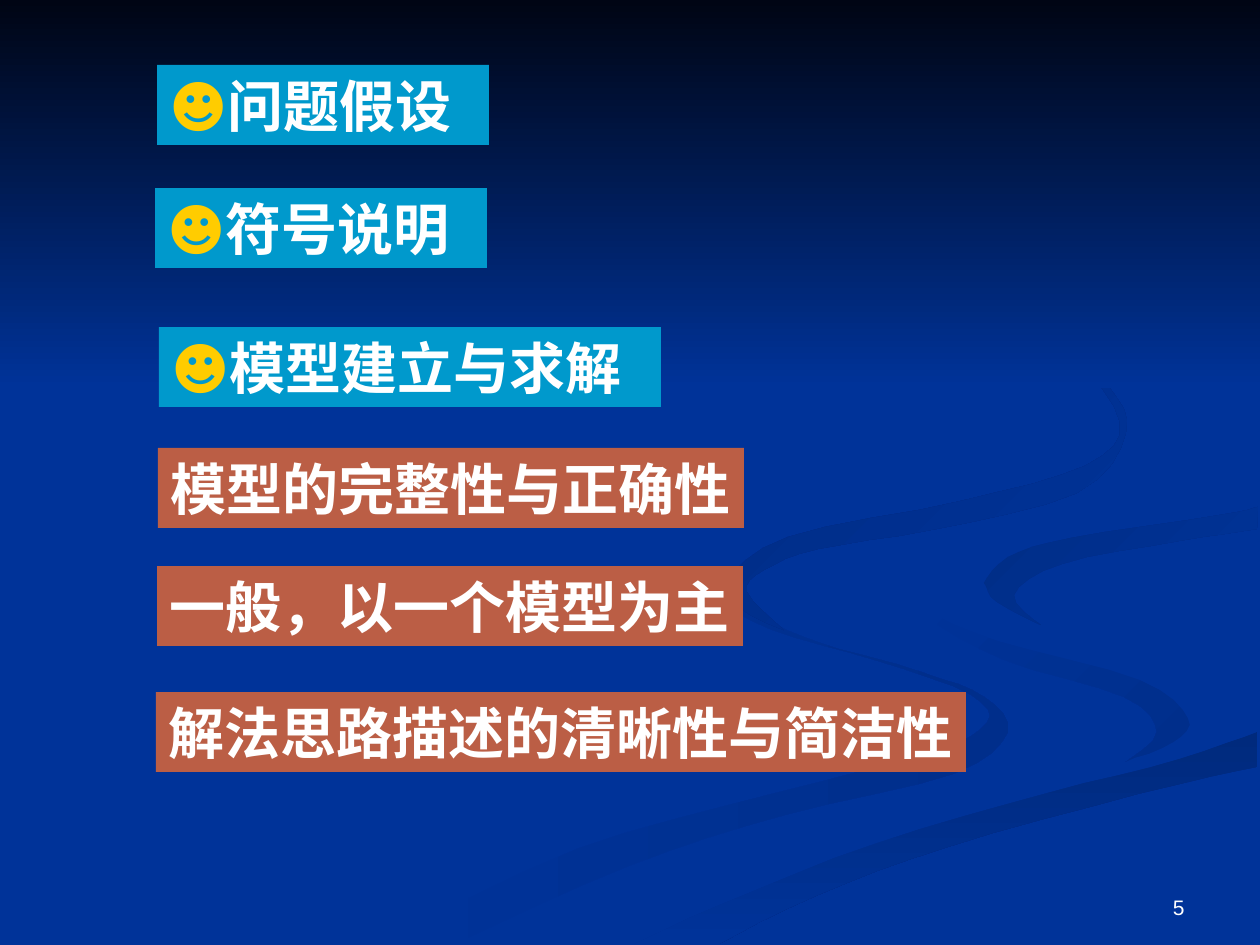
from pptx import Presentation
from pptx.dml.color import RGBColor
from pptx.enum.shapes import MSO_SHAPE
from pptx.enum.text import MSO_ANCHOR, MSO_AUTO_SIZE, PP_ALIGN
from pptx.util import Pt

RECTANGLE = MSO_SHAPE.RECTANGLE
TOP, BOTTOM = MSO_ANCHOR.TOP, MSO_ANCHOR.BOTTOM
LEFT, RIGHT = PP_ALIGN.LEFT, PP_ALIGN.RIGHT
FIT_SHAPE = MSO_AUTO_SIZE.SHAPE_TO_FIT_TEXT

BLUE = RGBColor(0x00, 0x33, 0x99)
SHADE = RGBColor(0x00, 0x2E, 0x8B)
SWEEP_SHADE = RGBColor(0x00, 0x2A, 0x7D)
HOOK_SHADE = RGBColor(0x00, 0x2D, 0x86)
CURL_SHADE = RGBColor(0x00, 0x2B, 0x82)
NIGHT = RGBColor(0x00, 0x05, 0x14)
CYAN = RGBColor(0x00, 0x99, 0xCC)
RUST = RGBColor(0xBB, 0x5E, 0x45)
YELLOW = RGBColor(0xFF, 0xCC, 0x00)
WHITE = RGBColor(0xFF, 0xFF, 0xFF)

PX = 914400 // 126
SLIDE_WIDTH, SLIDE_HEIGHT = 1260, 945
BAND_HEIGHT = 388
LABEL_HEIGHT = 80
STEPS_PER_SPAN = 4


def smooth(knots):
    """Return points on a Catmull-Rom curve that passes through all knots."""
    padded = [knots[0], *knots, knots[-1]]
    points = []
    for before, start, end, after in zip(padded, padded[1:], padded[2:], padded[3:]):
        for step in range(STEPS_PER_SPAN):
            t = step / STEPS_PER_SPAN
            points.append(tuple(
                round(b + ((c - a) * t + (2 * a - 5 * b + 4 * c - d) * t**2
                           + (3 * b - a - 3 * c + d) * t**3) / 2)
                for a, b, c, d in zip(before, start, end, after)
            ))
    return points + [knots[-1]]


def paint(shape, start, end=None, angle=0):
    """Fill a shape plainly, or from start to end along a clockwise angle."""
    shape.shadow.inherit = False
    shape.line.fill.background()
    if end is None:
        shape.fill.solid()
        shape.fill.fore_color.rgb = start
        return
    shape.fill.gradient()
    shape.fill.gradient_angle = (360 - angle) % 360
    for stop, color in zip(shape.fill.gradient_stops, (start, end)):
        stop.color.rgb = color


presentation = Presentation()
presentation.slide_width = SLIDE_WIDTH * PX
presentation.slide_height = SLIDE_HEIGHT * PX
slide = presentation.slides.add_slide(presentation.slide_layouts[6])
slide.background.fill.solid()
slide.background.fill.fore_color.rgb = BLUE

# Ribbon edges, as the few knots that a smooth curve runs through.
# Two edges of one ribbon start, and mostly end, at a common tip.
tail_outer = [(724, 578), (735, 601), (809, 639), (921, 672), (984, 697),
              (1008, 732), (953, 774), (785, 815), (629, 866), (455, 944)]
tail_inner = [(724, 578), (721, 600), (770, 629), (878, 661), (970, 694),
              (987, 723), (931, 753), (776, 793), (577, 849), (378, 944)]
bend_outer = [(912, 585), (924, 609), (998, 641), (1140, 680),
              (1188, 718), (1174, 742), (1126, 762)]
bend_inner = [(912, 585), (924, 615), (1004, 660), (1124, 697),
              (1157, 732), (1126, 762)]
sweep_upper = [(634, 944), (717, 906), (877, 843), (1047, 793),
               (1179, 759), (1257, 732)]
sweep_lower = [(719, 944), (818, 895), (948, 847), (1138, 794), (1257, 767)]
hook_upper = [(984, 583), (1008, 557), (1071, 538), (1220, 515), (1258, 507)]
hook_belly = [(984, 583), (997, 602), (1041, 625)]
hook_inner = [(1041, 625), (1014, 595), (1062, 564), (1179, 541), (1257, 529)]
curl_outer = [(960, 294), (1062, 346), (1109, 387), (1126, 433), (1077, 493),
              (931, 530), (818, 549), (764, 570), (747, 592), (784, 630)]
curl_inner = [(960, 294), (1066, 352), (1120, 422), (1085, 466), (961, 501),
              (788, 537), (727, 582), (743, 610), (784, 630)]

# The plain body fills the gap between bend, sweep and hook
body_left = [(1126, 762), (936, 810), (722, 886), (601, 944)]
body_right = [(1258, 678), (1139, 654), (1048, 627), (984, 583)]
body_top = [(1258, 488), (1101, 514), (993, 532), (922, 562), (912, 585)]

# Each outline joins its edges in drawing order; [::-1] walks an edge back
ribbons = [
    ([tail_outer, tail_inner[::-1]], BLUE, SHADE, 0),
    ([bend_outer, bend_inner[::-1]], BLUE, SHADE, 45),
    ([sweep_lower, sweep_upper[::-1]], SWEEP_SHADE, BLUE, 90),
    ([bend_outer, body_left, sweep_upper, body_right, hook_upper, body_top],
     BLUE, None, 0),
    ([hook_upper[::-1], hook_belly, hook_inner], HOOK_SHADE, BLUE, 45),
    ([curl_outer, curl_inner[::-1]], CURL_SHADE, BLUE, 45),
]
for edges, start, end, angle in ribbons:
    outline = [point for edge in edges for point in smooth(edge)]
    builder = slide.shapes.build_freeform(*outline[0], scale=PX)
    builder.add_line_segments(outline[1:], close=True)
    paint(builder.convert_to_shape(), start, end, angle)

night_band = slide.shapes.add_shape(
    RECTANGLE, 0, 0, SLIDE_WIDTH * PX, BAND_HEIGHT * PX)
paint(night_band, NIGHT, BLUE, 90)

# Page number
number_box = slide.shapes.add_textbox(903 * PX, 861 * PX, 294 * PX, 65 * PX)
number_box.text_frame.word_wrap = True
number_box.text_frame.vertical_anchor = BOTTOM
paragraph = number_box.text_frame.paragraphs[0]
paragraph.alignment = RIGHT
run = paragraph.add_run()
run.text = "5"
run.font.name, run.font.size = "Arial", Pt(12)
run.font.color.rgb = WHITE

# Topics are cyan, wrap and carry a smiley; remarks are rust and do not
topic = {"fill": CYAN, "wrap": True, "lead": [("☻", YELLOW)]}
remark = {"fill": RUST, "wrap": False, "lead": []}
labels = [
    (topic, 157, 65, 332, "问题假设"),
    (topic, 155, 188, 332, "符号说明"),
    (topic, 159, 327, 502, "模型建立与求解"),
    (remark, 158, 448, 586, "模型的完整性与正确性"),
    (remark, 157, 566, 586, "一般，以一个模型为主"),
    (remark, 156, 692, 810, "解法思路描述的清晰性与简洁性"),
]
label_font = {"name": "Times New Roman", "size": Pt(32), "bold": True}
for style, left, top, width, words in labels:
    label = slide.shapes.add_shape(
        RECTANGLE, left * PX, top * PX, width * PX, LABEL_HEIGHT * PX)
    paint(label, style["fill"])
    frame = label.text_frame
    frame.word_wrap = style["wrap"]
    frame.auto_size = FIT_SHAPE
    frame.vertical_anchor = TOP
    paragraph = frame.paragraphs[0]
    paragraph.alignment = LEFT
    for text, color in [*style["lead"], (words, WHITE)]:
        run = paragraph.add_run()
        run.text = text
        for attribute, value in label_font.items():
            setattr(run.font, attribute, value)
        run.font.color.rgb = color

presentation.save("out.pptx")
